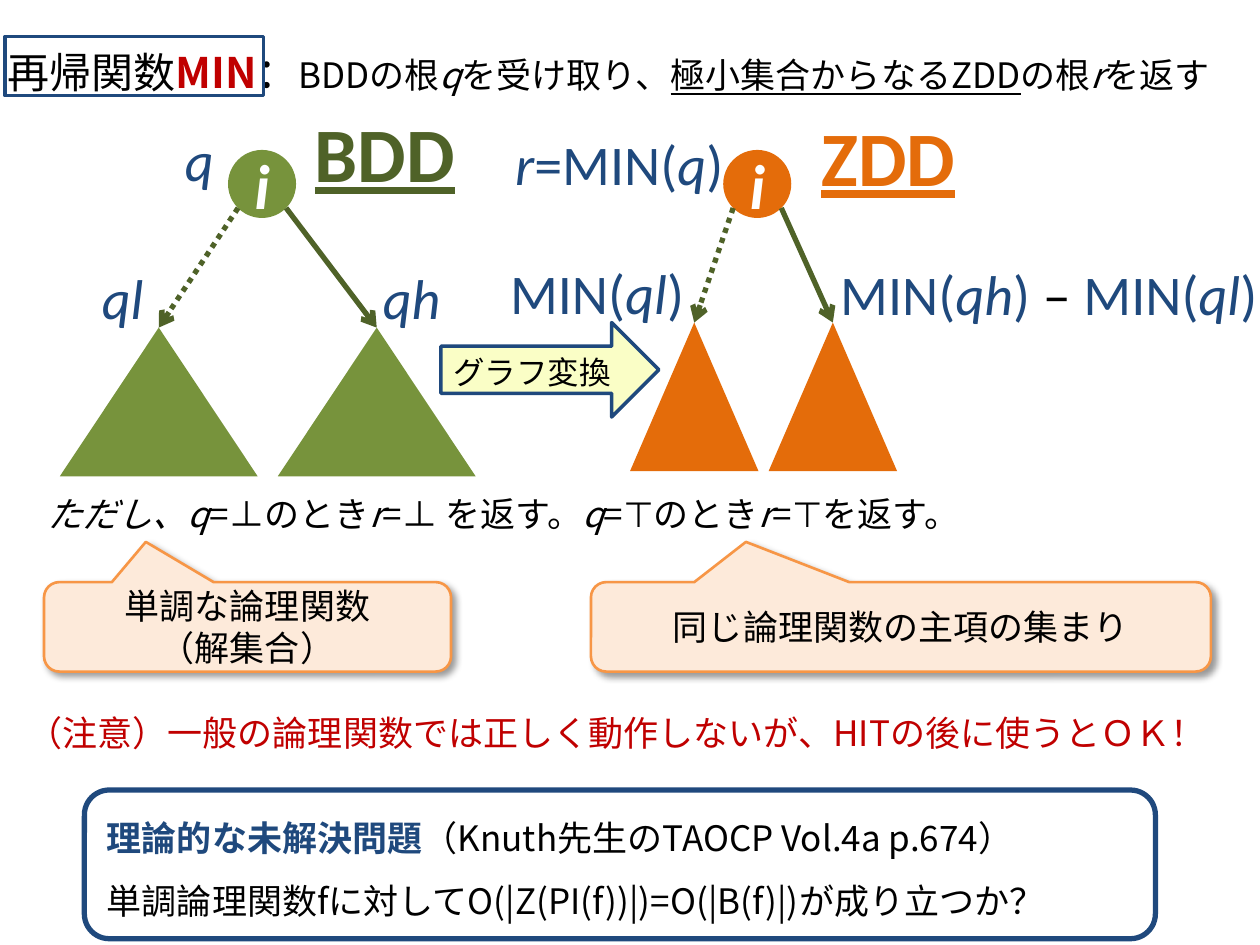
from lxml.etree import SubElement
from math import sqrt
from pptx import Presentation
from pptx.dml.color import RGBColor
from pptx.enum.dml import MSO_LINE
from pptx.enum.shapes import MSO_CONNECTOR, MSO_SHAPE
from pptx.enum.text import MSO_ANCHOR, MSO_AUTO_SIZE, PP_ALIGN
from pptx.oxml import parse_xml
from pptx.oxml.ns import nsdecls, qn
from pptx.util import Inches, Pt

COLORS = {
    "black": "000000", "white": "FFFFFF", "red": "C00000", "blue": "1F497D",
    "green": "77933C", "dark green": "4F6228", "orange": "E46C0A",
    "yellow": "FAFEC6", "peach": "FDEADA", "peach edge": "F79646",
}
LATIN, JAPANESE = "Calibri", "Noto Sans CJK JP"

# Run formats; each run is (text, format changes)
ITALIC, BOLD, UNDERLINE = {"italic": True}, {"bold": True}, {"underline": True}
BODY = {"name": JAPANESE, "size": 20, "color": "black"}
NODE = {"name": LATIN, "size": 36, "color": "white", **BOLD, **ITALIC}
LABEL = {"name": LATIN, "size": 32, "color": "blue"}
HEADING = {"name": LATIN, "size": 44, **BOLD, **UNDERLINE}

# Content
TITLE = [("再帰関数", {"size": 24}), ("MIN", {"size": 24, "color": "red", **BOLD}),
         ("：", {"size": 24}), ("BDDの根", {}), ("q", ITALIC), ("を受け取り、", {}),
         ("極小集合からなるZDD", UNDERLINE), ("の根", {}), ("r", ITALIC), ("を返す", {})]
BASE_CASES = [("ただし、q", ITALIC), ("=⊥のとき", {}), ("r", ITALIC), ("=⊥ を返す。", {}),
              ("q", ITALIC), ("=⊤のとき", {}), ("r", ITALIC), ("=⊤を返す。", {})]
CAUTION = [("（注意）一般の論理関数では正しく動作しないが、HITの後に使うとＯＫ！",
            {"color": "red"})]
OPEN_PROBLEM = [
    [("理論的な未解決問題", {"color": "blue", **BOLD}),
     ("（Knuth先生のTAOCP Vol.4a p.674）", {})],
    [("単調論理関数fに対してO(|Z(PI(f))|)=O(|B(f)|)が成り立つか？", {})],
]
TREES = [
    {"color": "green", "root": (2.08, 1.46), "apexes": (1.26, 2.99), "top": 2.6, "width": 1.57},
    {"color": "orange", "root": (6.01, 1.46), "apexes": (5.51, 6.61), "top": 2.56, "width": 1.02},
]
LABELS = [
    ((1.37, 0.95, 0.43, 0.64), [("q", ITALIC)]),
    ((0.71, 2.04, 0.54, 0.64), [("ql", ITALIC)]),
    ((2.94, 2.04, 0.66, 0.64), [("qh", ITALIC)]),
    ((3.99, 0.98, 1.87, 0.64), [("r", ITALIC), ("=MIN(", {}), ("q", ITALIC), (")", {})]),
    ((6.57, 2.01, 3.55, 0.64), [("MIN(", {}), ("qh", ITALIC), (") ", {}),
                                ("–", {"color": "black"}), (" MIN(", {}),
                                ("ql", ITALIC), (")", {})]),
    ((3.95, 2, 1.6, 0.64), [("MIN(", {}), ("ql", ITALIC), (")", {})]),
]
HEADINGS = [
    ((2.4, 0.79, 1.33, 0.84), "BDD", "dark green"),
    ((6.42, 0.82, 1.27, 0.84), "ZDD", "orange"),
]
CALLOUTS = [
    ((0.35, 4.62, 3.23, 0.71), ["単調な論理関数", "（解集合）"]),
    ((4.69, 4.62, 4.92, 0.71), ["同じ論理関数の主項の集まり"]),
]
NODE_SIZE, TRIANGLE_HEIGHT = 0.54, 1.18


def rgb(color):
    return RGBColor.from_string(COLORS[color])


def write(frame, paragraphs, base, align=None, gap=0):
    for index, runs in enumerate(paragraphs):
        paragraph = frame.paragraphs[0] if index == 0 else frame.add_paragraph()
        paragraph.alignment = align
        if index and gap:
            paragraph.space_before = Pt(gap)
        for text, changes in runs:
            run = paragraph.add_run()
            run.text = text
            for key, value in {**base, **changes}.items():
                if key == "color":
                    run.font.color.rgb = rgb(value)
                else:
                    setattr(run.font, key, Pt(value) if key == "size" else value)
            if run.font.name == JAPANESE:
                SubElement(run.font._element, qn("a:ea"), typeface=JAPANESE)


def add_text(shapes, box, paragraphs, base, wrap=False, gap=0):
    frame = shapes.add_textbox(*map(Inches, box)).text_frame
    frame.word_wrap = wrap
    frame.auto_size = MSO_AUTO_SIZE.SHAPE_TO_FIT_TEXT
    write(frame, paragraphs, base, gap=gap)
    return frame


def add_block(shapes, kind, box, fill=None, line=None, weight=0):
    block = shapes.add_shape(kind, *map(Inches, box))
    block.shadow.inherit = False
    if fill:
        block.fill.solid()
        block.fill.fore_color.rgb = rgb(fill)
    else:
        block.fill.background()
    if line:
        block.line.color.rgb = rgb(line)
        block.line.width = Pt(weight)
    else:
        block.line.fill.background()
    return block


def add_branch(shapes, start, end, child, dotted):
    branch = shapes.add_connector(MSO_CONNECTOR.STRAIGHT, *map(Inches, start + end))
    branch.end_connect(child, 0)
    branch.line.color.rgb = rgb("dark green")
    branch.line.width = Pt(3)
    if dotted:
        branch.line.dash_style = MSO_LINE.ROUND_DOT
    SubElement(branch.line._get_or_add_ln(), qn("a:tailEnd"), type="arrow")
    SubElement(branch._element.spPr, qn("a:effectLst"))


def add_tree(shapes, tree):
    x, y = tree["root"]
    radius = NODE_SIZE / 2
    root = add_block(shapes, MSO_SHAPE.OVAL,
                     (x - radius, y - radius, NODE_SIZE, NODE_SIZE), tree["color"])
    frame = root.text_frame
    frame.word_wrap = False
    frame.vertical_anchor = MSO_ANCHOR.MIDDLE
    write(frame, [[("i", {})]], NODE, PP_ALIGN.CENTER)
    offset = radius / sqrt(2)
    for side, apex in zip((-1, 1), tree["apexes"]):
        child = add_block(shapes, MSO_SHAPE.ISOSCELES_TRIANGLE,
                          (apex - tree["width"] / 2, tree["top"], tree["width"],
                           TRIANGLE_HEIGHT), tree["color"])
        add_branch(shapes, (x + side * offset, y + offset), (apex, tree["top"]),
                   child, dotted=side < 0)


def add_callout(shapes, box, lines):
    callout = add_block(shapes, MSO_SHAPE.ROUNDED_RECTANGULAR_CALLOUT, box,
                        "peach", "peach edge", 1.5)
    for index, value in enumerate((-0.25, -0.95, 0.17)):
        callout.adjustments[index] = value
    callout._element.spPr.find(qn("a:effectLst")).append(parse_xml(
        f'<a:outerShdw {nsdecls("a")} blurRad="{Pt(4)}" dist="{Pt(3)}" dir="2700000" '
        'algn="tl" rotWithShape="0"><a:srgbClr val="000000"><a:alpha val="40000"/>'
        '</a:srgbClr></a:outerShdw>'))
    callout.text_frame.vertical_anchor = MSO_ANCHOR.MIDDLE
    write(callout.text_frame, [[(line, {})] for line in lines], BODY, PP_ALIGN.CENTER)


def main():
    deck = Presentation()
    deck.slide_width, deck.slide_height = Inches(10), Inches(7.5)
    shapes = deck.slides.add_slide(deck.slide_layouts[6]).shapes

    # Definition with a hanging indent, and its base cases
    title = add_text(shapes, (-0.04, 0.32, 10.02, 0.5), [TITLE], BODY, wrap=True)
    indent = title.paragraphs[0]._p.get_or_add_pPr()
    indent.set("marL", str(Inches(0.38)))
    indent.set("indent", str(-Inches(0.38)))
    add_block(shapes, MSO_SHAPE.RECTANGLE, (0.04, 0.29, 2.05, 0.47), line="blue", weight=2)
    add_text(shapes, (0.28, 3.86, 7.73, 0.44), [BASE_CASES], BODY)

    # Decision diagrams
    for tree in TREES:
        add_tree(shapes, tree)
    for box, runs in LABELS:
        add_text(shapes, box, [runs], LABEL)
    for box, name, color in HEADINGS:
        add_text(shapes, box, [[(name, {"color": color})]], HEADING)

    # Conversion arrow
    add_block(shapes, MSO_SHAPE.RIGHT_ARROW, (3.5, 2.56, 1.73, 0.75), "yellow", "blue", 2)
    add_text(shapes, (3.5, 2.75, 1.46, 0.4), [[("グラフ変換", {})]],
             {"name": LATIN, "size": 18, "color": "black"})

    # Remarks
    for box, lines in CALLOUTS:
        add_callout(shapes, box, lines)
    add_text(shapes, (0.12, 5.6, 9.68, 0.44), [CAUTION], BODY, wrap=True)

    # Open problem
    panel = shapes.add_group_shape().shapes
    add_block(panel, MSO_SHAPE.ROUNDED_RECTANGLE, (0.67, 6.27, 8.5, 1.18), "white", "blue", 3)
    add_text(panel, (0.75, 6.43, 8.31, 0.94), OPEN_PROBLEM, BODY, wrap=True, gap=12)

    deck.save("out.pptx")


if __name__ == "__main__":
    main()
